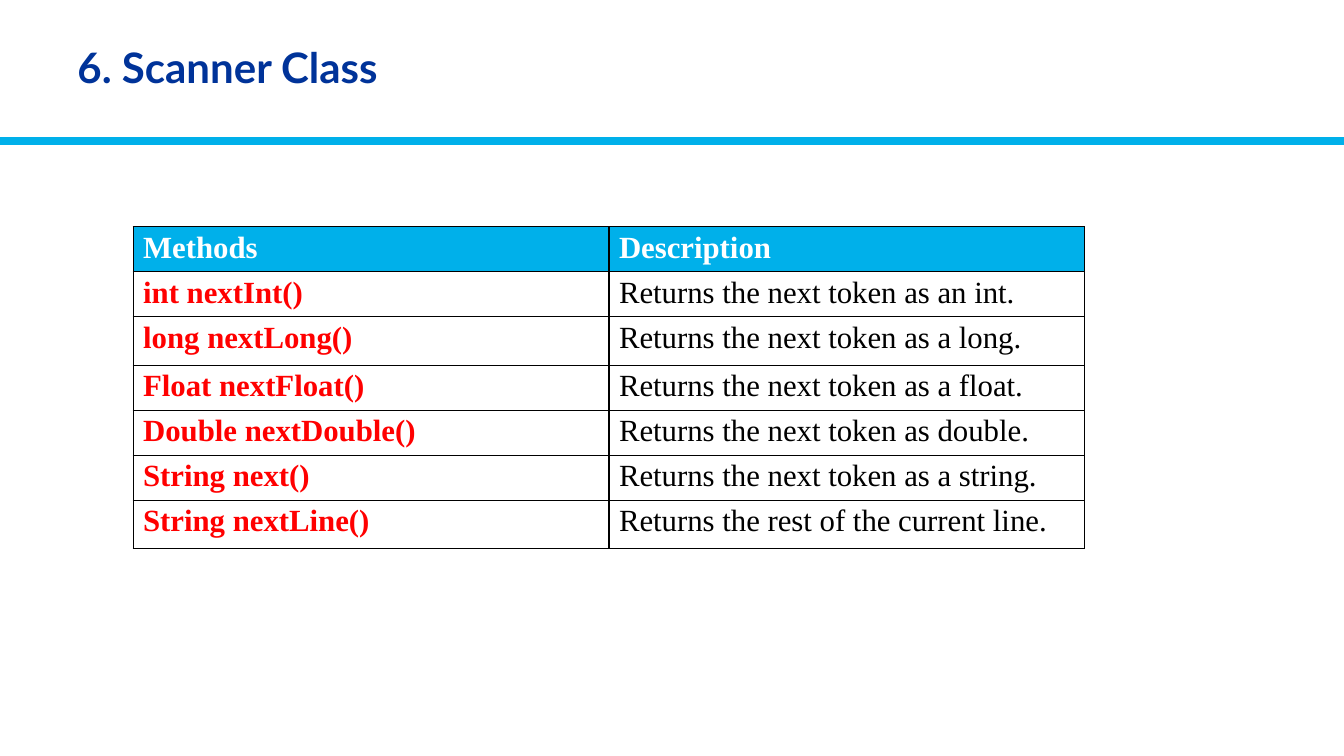
from lxml import etree
from pptx import Presentation
from pptx.dml.color import RGBColor
from pptx.enum.shapes import MSO_CONNECTOR
from pptx.enum.text import MSO_ANCHOR
from pptx.oxml.ns import qn
from pptx.util import Inches, Pt

STRAIGHT = MSO_CONNECTOR.STRAIGHT
MIDDLE = MSO_ANCHOR.MIDDLE

NAVY = RGBColor(0x00, 0x33, 0x99)
SKY = RGBColor(0x00, 0xB0, 0xEA)
RED = RGBColor(0xFF, 0x00, 0x00)
BLACK = RGBColor(0x00, 0x00, 0x00)
WHITE = RGBColor(0xFF, 0xFF, 0xFF)

METHODS = [
    ("Methods", "Description"),
    ("int nextInt()", "Returns the next token as an int."),
    ("long nextLong()", "Returns the next token as a long."),
    ("Float nextFloat()", "Returns the next token as a float."),
    ("Double nextDouble()", "Returns the next token as double."),
    ("String next()", "Returns the next token as a string."),
    ("String nextLine()", "Returns the rest of the current line."),
]
HEIGHTS = [0.43, 0.43, 0.48, 0.43, 0.43, 0.43, 0.48]
COLUMN = 4.72


def add_run(para, text, font, size, color, bold):
    run = para.add_run()
    run.text = text
    run.font.name = font
    run.font.size = Pt(size)
    run.font.color.rgb = color
    run.font.bold = bold


def add_title(slide, text):
    box = slide.shapes.add_textbox(
        Inches(0.67), Inches(0.14), Inches(12.02), Inches(1.11))
    frame = box.text_frame
    frame.word_wrap = True
    frame.vertical_anchor = MIDDLE
    para = frame.paragraphs[0]
    para.line_spacing = 0.9
    add_run(para, text, "Lato", 30, NAVY, True)


def add_rule(slide, width):
    top = Inches(1.4)
    rule = slide.shapes.add_connector(STRAIGHT, 0, top, width, top)
    rule.line.color.rgb = SKY
    rule.line.width = Pt(6)
    etree.SubElement(rule._element.spPr, qn("a:effectLst"))


def add_border(cell):
    props = cell._tc.get_or_add_tcPr()
    for side in ("a:lnL", "a:lnR", "a:lnT", "a:lnB"):
        line = etree.SubElement(props, qn(side), w=str(Pt(1)))
        fill = etree.SubElement(line, qn("a:solidFill"))
        etree.SubElement(fill, qn("a:srgbClr"), val=str(BLACK))


def fill_cell(cell, text, color, bold, back):
    cell.margin_top = cell.margin_bottom = Inches(0.04)
    add_border(cell)
    cell.fill.solid()
    cell.fill.fore_color.rgb = back
    para = cell.text_frame.paragraphs[0]
    add_run(para, text, "Times New Roman", 22, color, bold)


def add_methods(slide):
    table = slide.shapes.add_table(
        len(METHODS), 2, Inches(1.32), Inches(2.25),
        Inches(2 * COLUMN), Inches(sum(HEIGHTS))).table
    for column in table.columns:
        column.width = Inches(COLUMN)
    for index, (method, detail) in enumerate(METHODS):
        table.rows[index].height = Inches(HEIGHTS[index])
        head = index == 0
        back = SKY if head else WHITE
        fill_cell(table.cell(index, 0), method, WHITE if head else RED, True, back)
        fill_cell(table.cell(index, 1), detail, WHITE if head else BLACK, head, back)


def main():
    deck = Presentation()
    deck.slide_width = Inches(13.33)
    deck.slide_height = Inches(7.5)
    slide = deck.slides.add_slide(deck.slide_layouts[6])

    # Heading and the rule below it
    add_rule(slide, deck.slide_width)
    add_title(slide, "6. Scanner Class")

    # Table of scanner methods
    add_methods(slide)

    deck.save("out.pptx")


if __name__ == "__main__":
    main()
